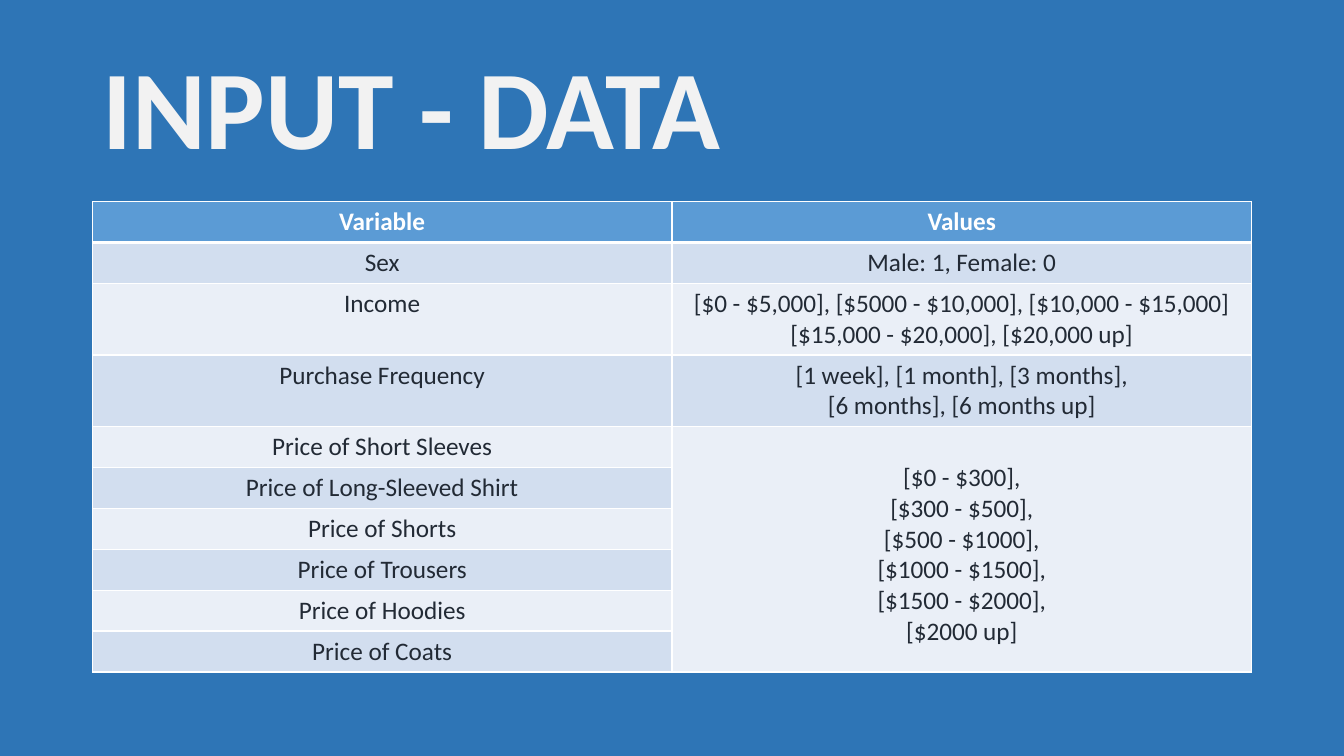
from lxml.etree import SubElement
from pptx import Presentation
from pptx.dml.color import RGBColor
from pptx.enum.text import MSO_ANCHOR, PP_ALIGN
from pptx.oxml.ns import qn
from pptx.util import Pt

FONT = "Calibri"
BLUE, HEADER, BAND, LIGHT_BAND = "2E75B6", "5B9BD5", "D2DEEF", "EAEFF7"
WHITE, TITLE, INK = "FFFFFF", "F2F2F2", "222A35"
LEFT, WIDTH = 66, 828
LINE = 22

PRICES = ["[$0 - $300],", "[$300 - $500],", "[$500 - $1000],",
          "[$1000 - $1500],", "[$1500 - $2000],", "[$2000 up]"]
ROWS = [
    ("Variable", ["Values"]),
    ("Sex", ["Male: 1, Female: 0"]),
    ("Income", ["[$0 - $5,000], [$5000 - $10,000], [$10,000 - $15,000]",
                "[$15,000 - $20,000], [$20,000 up]"]),
    ("Purchase Frequency", ["[1 week], [1 month], [3 months],",
                            "[6 months], [6 months up]"]),
    ("Price of Short Sleeves", PRICES),
    ("Price of Long-Sleeved Shirt", []),
    ("Price of Shorts", []),
    ("Price of Trousers", []),
    ("Price of Hoodies", []),
    ("Price of Coats", []),
]
FIRST_PRICE = 4


def paint(color, value):
    """Set a colour format to a hex colour."""
    color.rgb = RGBColor.from_string(value)


def fill(obj, value):
    """Give a cell or background a solid fill."""
    obj.fill.solid()
    paint(obj.fill.fore_color, value)


def write(tf, lines, size, color, bold=False, align=PP_ALIGN.LEFT):
    """Write one paragraph per line in a common style."""
    for i, line in enumerate(lines):
        p = tf.paragraphs[0] if i == 0 else tf.add_paragraph()
        p.text = line
        p.alignment = align
        p.font.name, p.font.size, p.font.bold = FONT, Pt(size), bold
        paint(p.font.color, color)


def add_title(s, text):
    """Add the large slide title."""
    tf = s.shapes.add_textbox(Pt(LEFT), Pt(28.8), Pt(WIDTH), Pt(104.4)).text_frame
    tf.word_wrap = True
    tf.vertical_anchor = MSO_ANCHOR.MIDDLE
    write(tf, [text], 80, TITLE, bold=True)
    tf.paragraphs[0].line_spacing = 0.9


def set_borders(cell, top, bottom):
    """Draw white cell borders with the given top and bottom widths."""
    tcPr = cell._tc.get_or_add_tcPr()
    for side, width in (("L", 1), ("R", 1), ("T", top), ("B", bottom)):
        ln = SubElement(tcPr, qn(f"a:ln{side}"), w=str(Pt(width)))
        solid = SubElement(ln, qn("a:solidFill"))
        SubElement(solid, qn("a:srgbClr"), val=WHITE)


def add_variables_table(s):
    """Add the table of variables with one shared cell for all prices."""
    table = s.shapes.add_table(len(ROWS), 2, Pt(LEFT), Pt(144),
                               Pt(WIDTH), Pt(334)).table
    for i, (variable, values) in enumerate(ROWS):
        header = i == 0
        lines = len(values) if i < FIRST_PRICE else 1
        table.rows[i].height = Pt(29.2 + LINE * (lines - 1))
        band = HEADER if header else BAND if i % 2 else LIGHT_BAND
        for j, text in enumerate(([variable], values)):
            cell = table.cell(i, j)
            set_borders(cell, 3 if i == 1 else 1, 3 if header else 1)
            fill(cell, LIGHT_BAND if j and i >= FIRST_PRICE else band)
            write(cell.text_frame, text, 18, WHITE if header else INK,
                  header, PP_ALIGN.CENTER)
    prices = table.cell(FIRST_PRICE, 1)
    prices.merge(table.cell(len(ROWS) - 1, 1))
    prices.margin_top = Pt(3.6 + LINE)


def main():
    """Build and save the slide."""
    prs = Presentation()
    prs.slide_width, prs.slide_height = Pt(960), Pt(540)
    s = prs.slides.add_slide(prs.slide_layouts[6])
    fill(s.background, BLUE)
    add_title(s, "INPUT - DATA")
    add_variables_table(s)
    prs.save("out.pptx")


main()
